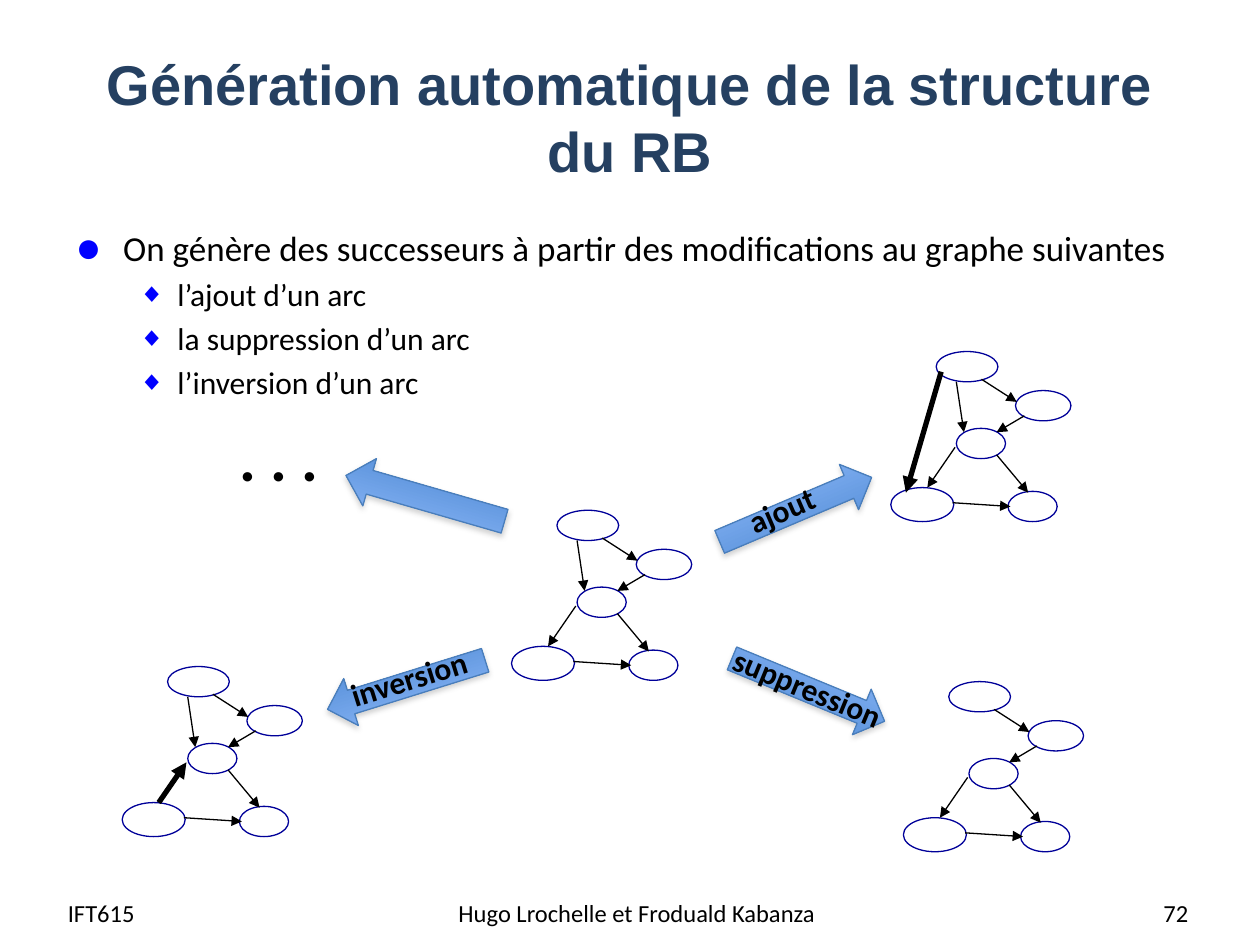
from lxml import etree
from pptx import Presentation
from pptx.dml.color import RGBColor
from pptx.enum.shapes import MSO_CONNECTOR, MSO_SHAPE
from pptx.enum.text import MSO_ANCHOR, MSO_AUTO_SIZE, PP_ALIGN
from pptx.oxml import parse_xml
from pptx.oxml.ns import nsdecls, qn
from pptx.util import Inches, Pt

LEFT, CENTER, RIGHT = PP_ALIGN.LEFT, PP_ALIGN.CENTER, PP_ALIGN.RIGHT
MIDDLE, TOP = MSO_ANCHOR.MIDDLE, MSO_ANCHOR.TOP
ELLIPSE, RIGHT_ARROW = MSO_SHAPE.OVAL, MSO_SHAPE.RIGHT_ARROW
STRAIGHT = MSO_CONNECTOR.STRAIGHT
GROW = MSO_AUTO_SIZE.SHAPE_TO_FIT_TEXT

THEME = {
    "title": "254061", "text": "000000", "bullet": "0000FF", "node": "000099",
    "arrow_light": "9BC1FF", "arrow_dark": "3F80CD", "arrow_line": "4A7EBB",
    "shadow": "808080",
    "title_font": "Arial", "body_font": "Calibri",
    "title_size": 32, "body_size": 20, "item_size": 18,
    "footer_size": 14, "dots_size": 36,
    "thin": 0.75, "thick": 3,
}

TITLE = "Génération automatique de la structure du RB"
BODY = [
    (0, "On génère des successeurs à partir des modifications au graphe suivantes"),
    (1, "l’ajout d’un arc"),
    (1, "la suppression d’un arc"),
    (1, "l’inversion d’un arc"),
]
# level: (size key, left margin, hanging indent, bullet, bullet percent)
LEVELS = {
    0: ("body_size", 0.38, 0.38, "●", 125),
    1: ("item_size", 0.81, 0.31, "◆", 85),
}
FOOTER = [
    ("IFT615", (0.44, 7.04, 1.93, 0.4), LEFT),
    ("Hugo Lrochelle et Froduald Kabanza", (3.47, 7.04, 3.17, 0.4), CENTER),
    ("72", (7.2, 7.04, 2.33, 0.4), RIGHT),
]

# One network, measured from its own top left corner
NODES = [
    (0, 1.08, 0.5, 0.27), (0.93, 1.11, 0.39, 0.24), (0.52, 0.61, 0.39, 0.24),
    (0.99, 0.31, 0.44, 0.24), (0.36, 0, 0.49, 0.24),
]
ARCS = {
    "top-right": (0.72, 0.22, 1, 0.4),
    "middle-end": (0.84, 0.82, 1.09, 1.12),
    "top-middle": (0.52, 0.24, 0.58, 0.64),
    "right-middle": (1.06, 0.51, 0.84, 0.64),
    "start-end": (0.49, 1.2, 0.95, 1.23),
    "middle-start": (0.51, 0.76, 0.29, 1.08),
    "start-middle": (0.29, 1.08, 0.51, 0.76),
    "top-start": (0.4, 0.16, 0.12, 1.12),
}
BASE_ARCS = ["top-right", "middle-end", "top-middle", "right-middle",
             "start-end", "middle-start"]
# origin, arcs removed, arcs added in bold
NETWORKS = [
    ((4.06, 4.05), [], []),
    ((7.07, 2.79), [], ["top-start"]),
    ((7.17, 5.41), ["top-middle"], []),
    ((0.97, 5.29), ["middle-start"], ["start-middle"]),
]

ARROW_SIZE = (1.31, 0.39)
ARROWS = [
    ((5.66, 3.85), 337), ((5.76, 5.28), 22.4),
    ((2.57, 5.24), 162.7), ((2.72, 3.76), 196.1),
]
LABELS = [
    ("ajout", (5.83, 3.84, 0.75, 0.4), 336.6, "item_size"),
    ("suppression", (5.69, 5.26, 1.46, 0.4), 22.4, "item_size"),
    ("inversion", (2.67, 5.18, 1.17, 0.4), 342.7, "item_size"),
    (". . .", (1.8, 3.27, 0.84, 0.71), 0, "dots_size"),
]


def color(key):
    return RGBColor.from_string(THEME[key])


def inches(values):
    return [Inches(value) for value in values]


def write(para, text, size, font="body_font", ink="text", bold=False):
    para.text = text
    for span in para.runs:
        span.font.name = THEME[font]
        span.font.size = Pt(THEME[size])
        span.font.color.rgb = color(ink)
        span.font.bold = bold


def add_text(slide, place, anchor=TOP, wrap=True):
    box = slide.shapes.add_textbox(*inches(place))
    box.text_frame.word_wrap = wrap
    box.text_frame.vertical_anchor = anchor
    return box


def add_bullet(para, level):
    size, margin, hanging, mark, percent = LEVELS[level]
    para.level = level
    para.space_before = Pt(THEME[size] * 0.2)
    props = para._p.get_or_add_pPr()
    props.set("marL", str(Inches(margin)))
    props.set("indent", str(-Inches(hanging)))
    tint = etree.SubElement(props, qn("a:buClr"))
    etree.SubElement(tint, qn("a:srgbClr"), val=THEME["bullet"])
    etree.SubElement(props, qn("a:buSzPct"), val=str(percent * 1000))
    etree.SubElement(props, qn("a:buFont"), typeface=THEME["title_font"])
    etree.SubElement(props, qn("a:buChar"), char=mark)


def add_arc(group, origin, arc, weight):
    x, y = origin
    x1, y1, x2, y2 = arc
    line = group.shapes.add_connector(
        STRAIGHT, *inches((x + x1, y + y1, x + x2, y + y2)))
    line.line.color.rgb = color("text")
    line.line.width = Pt(THEME[weight])
    etree.SubElement(line.line._get_or_add_ln(), qn("a:tailEnd"), type="triangle")
    etree.SubElement(line._element.spPr, qn("a:effectLst"))


def add_network(slide, origin, removed, added):
    group = slide.shapes.add_group_shape()
    x, y = origin
    for left, top, width, height in NODES:
        node = group.shapes.add_shape(
            ELLIPSE, *inches((x + left, y + top, width, height)))
        node.shadow.inherit = False
        node.fill.background()
        node.line.color.rgb = color("node")
        node.line.width = Pt(THEME["thin"])
    for name in BASE_ARCS:
        if name not in removed:
            add_arc(group, origin, ARCS[name], "thin")
    for name in added:
        add_arc(group, origin, ARCS[name], "thick")


def add_block_arrow(slide, corner, rotation):
    arrow = slide.shapes.add_shape(RIGHT_ARROW, *inches(corner + ARROW_SIZE))
    arrow.rotation = rotation
    arrow.fill.gradient()
    arrow.fill.gradient_angle = 270
    for stop, key in zip(arrow.fill.gradient_stops, ("arrow_light", "arrow_dark")):
        stop.color.rgb = color(key)
    arrow.line.color.rgb = color("arrow_line")
    arrow.line.width = Pt(THEME["thin"])
    arrow.shadow.inherit = False
    arrow._element.spPr.find(qn("a:effectLst")).append(parse_xml(
        f'<a:outerShdw {nsdecls("a")} blurRad="{Pt(3.1)}" dist="{Pt(1.8)}" '
        f'dir="5400000" rotWithShape="0"><a:srgbClr val="{THEME["shadow"]}">'
        '<a:alpha val="35000"/></a:srgbClr></a:outerShdw>'))


def main():
    deck = Presentation()
    deck.slide_width, deck.slide_height = Inches(10), Inches(7.5)
    slide = deck.slides.add_slide(deck.slide_layouts[5])

    title = slide.shapes.title
    title.left, title.top, title.width, title.height = inches((0.5, 0.3, 9, 1.25))
    title.text_frame.vertical_anchor = MIDDLE
    heading = title.text_frame.paragraphs[0]
    write(heading, TITLE, "title_size", "title_font", "title", bold=True)
    heading.alignment = CENTER

    frame = add_text(slide, (0.5, 1.75, 9, 4.95)).text_frame
    for index, (level, text) in enumerate(BODY):
        para = frame.add_paragraph() if index else frame.paragraphs[0]
        write(para, text, LEVELS[level][0])
        add_bullet(para, level)

    for text, place, alignment in FOOTER:
        para = add_text(slide, place, MIDDLE).text_frame.paragraphs[0]
        write(para, text, "footer_size")
        para.alignment = alignment

    for network in NETWORKS:
        add_network(slide, *network)
    for corner, rotation in ARROWS:
        add_block_arrow(slide, corner, rotation)
    for text, place, rotation, size in LABELS:
        label = add_text(slide, place, wrap=False)
        label.rotation = rotation
        label.text_frame.auto_size = GROW
        write(label.text_frame.paragraphs[0], text, size, bold=True)

    deck.save("out.pptx")


if __name__ == "__main__":
    main()
